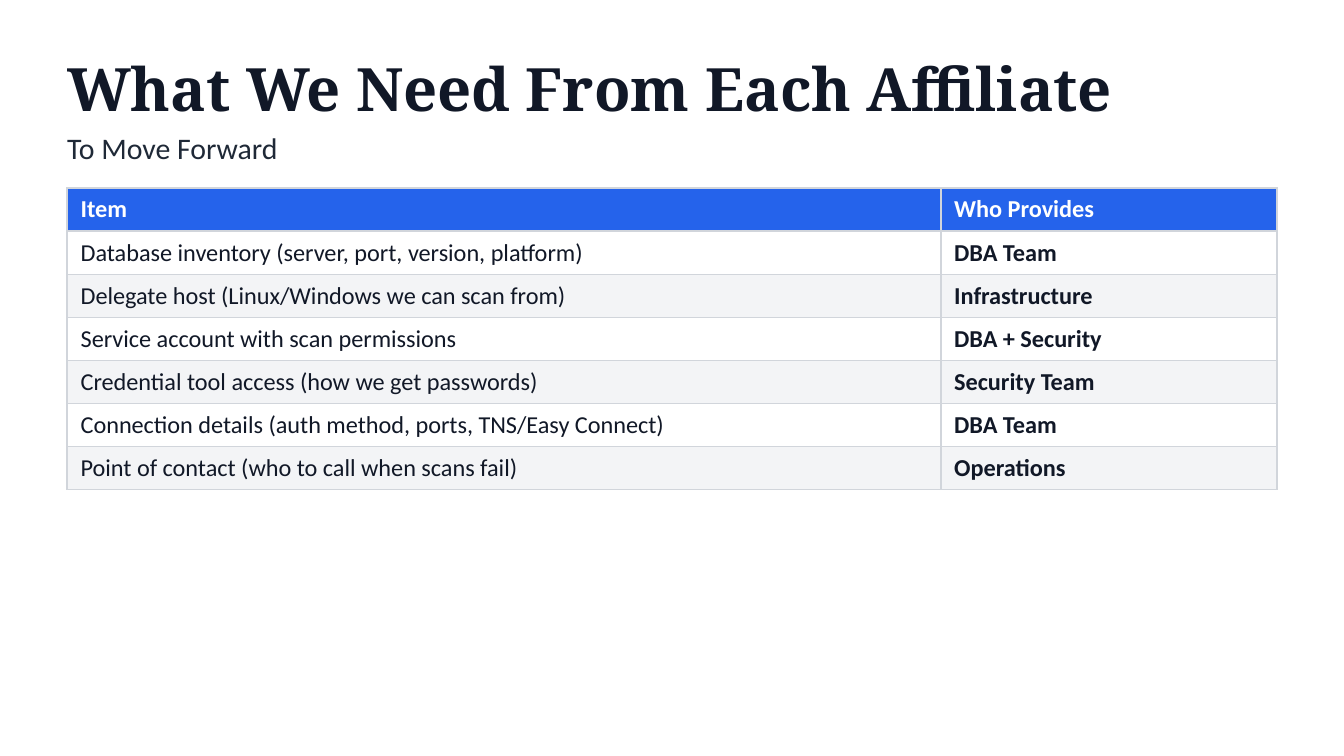
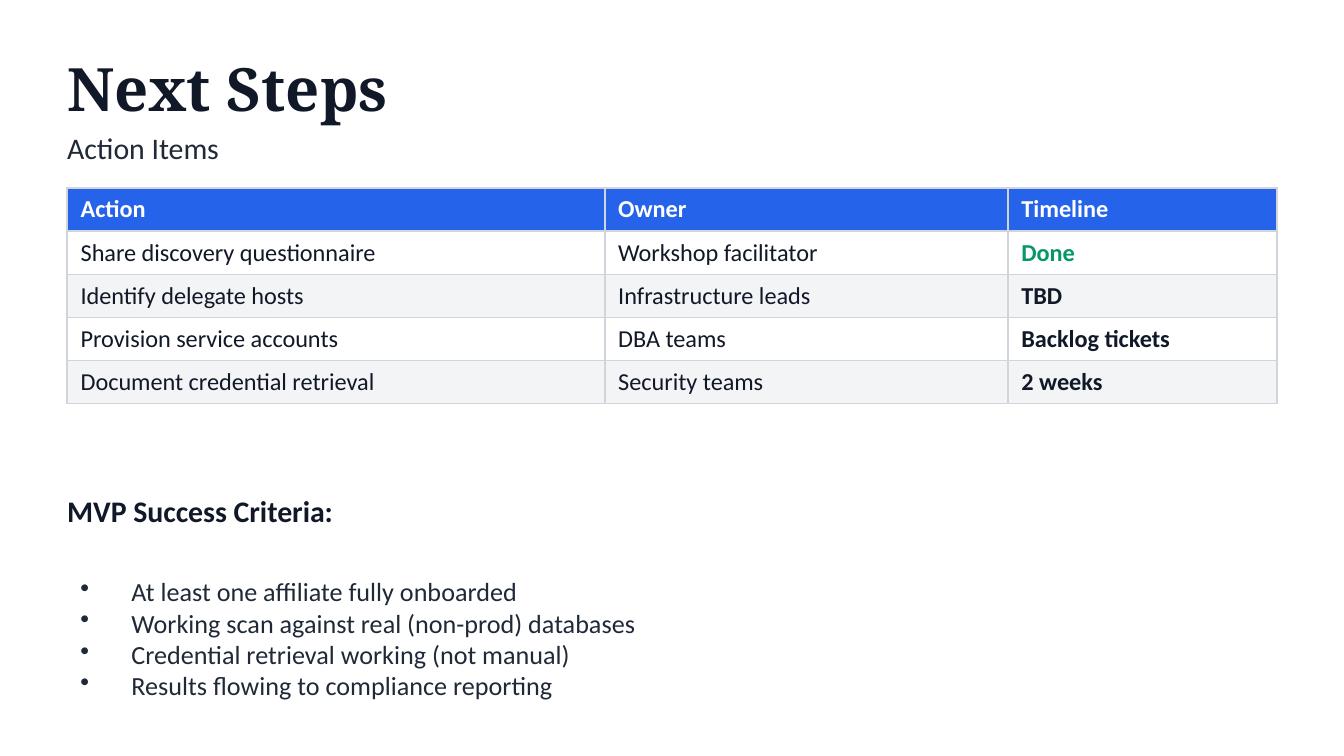
"""Build the affiliate requirements and next steps slides."""
from lxml.etree import SubElement
from pptx import Presentation
from pptx.dml.color import RGBColor
from pptx.enum.text import MSO_ANCHOR, MSO_AUTO_SIZE, PP_ALIGN
from pptx.oxml.ns import qn
from pptx.util import Inches, Pt

INK = RGBColor(0x11, 0x18, 0x27)
BODY = RGBColor(0x1F, 0x29, 0x37)
BLUE = RGBColor(0x25, 0x63, 0xEB)
GREEN = RGBColor(0x05, 0x96, 0x69)
WHITE = RGBColor(0xFF, 0xFF, 0xFF)
STRIPE = RGBColor(0xF3, 0xF4, 0xF6)
BORDER = RGBColor(0xD1, 0xD5, 0xDB)
LEFT, WIDTH, ROW_HEIGHT = 0.5, 9, 0.32

SLIDES = [
    ("What We Need From Each Affiliate", "To Move Forward", [6.5, 2.5], [
        ("Item", "Who Provides"),
        ("Database inventory (server, port, version, platform)", "DBA Team"),
        ("Delegate host (Linux/Windows we can scan from)", "Infrastructure"),
        ("Service account with scan permissions", "DBA + Security"),
        ("Credential tool access (how we get passwords)", "Security Team"),
        ("Connection details (auth method, ports, TNS/Easy Connect)", "DBA Team"),
        ("Point of contact (who to call when scans fail)", "Operations"),
    ]),
    ("Next Steps", "Action Items", [4, 3, 2], [
        ("Action", "Owner", "Timeline"),
        ("Share discovery questionnaire", "Workshop facilitator", "Done"),
        ("Identify delegate hosts", "Infrastructure leads", "TBD"),
        ("Provision service accounts", "DBA teams", "Backlog tickets"),
        ("Document credential retrieval", "Security teams", "2 weeks"),
    ]),
]
CRITERIA = [
    "At least one affiliate fully onboarded",
    "Working scan against real (non-prod) databases",
    "Credential retrieval working (not manual)",
    "Results flowing to compliance reporting",
]


def set_text(tf, text, size, color, bold=False, font="Calibri"):
    tf.text = text
    for p in tf.paragraphs:
        p.alignment = PP_ALIGN.LEFT
        for r in p.runs:
            r.font.name, r.font.size, r.font.bold = font, Pt(size), bold
            r.font.color.rgb = color


def place_text(sp, top, height, text, size, color, bold=False, font="Calibri", inset=0):
    sp.left, sp.top, sp.width, sp.height = map(Inches, (LEFT, top, WIDTH, height))
    tf = sp.text_frame
    tf.word_wrap, tf.auto_size = True, MSO_AUTO_SIZE.NONE
    tf.vertical_anchor = MSO_ANCHOR.MIDDLE
    tf.margin_left = tf.margin_right = Inches(inset)
    tf.margin_top = tf.margin_bottom = Inches(inset / 2)
    set_text(tf, text, size, color, bold, font)


prs = Presentation()
prs.slide_width, prs.slide_height = Inches(10), Inches(10 * 9 / 16)

for title, subtitle, widths, rows in SLIDES:
    s = prs.slides.add_slide(prs.slide_layouts[5])
    s.background.fill.solid()
    s.background.fill.fore_color.rgb = WHITE
    place_text(s.shapes.title, 0.3, 0.7, title, 32, INK, True, "Noto Serif")
    place_text(s.shapes.add_textbox(0, 0, 0, 0), 0.9, 0.4, subtitle, 16, BODY)

    table = s.shapes.add_table(
        len(rows), len(widths), Inches(LEFT), Inches(1.4),
        Inches(WIDTH), Inches(ROW_HEIGHT * len(rows))).table
    for column, width in zip(table.columns, widths):
        column.width = Inches(width)
    for i, row in enumerate(rows):
        table.rows[i].height = Inches(ROW_HEIGHT)
        for j, text in enumerate(row):
            cell = table.cell(i, j)
            header = i == 0
            color = WHITE if header else GREEN if text == "Done" else INK
            set_text(cell.text_frame, text, 13, color, header or j == len(row) - 1)
            tcPr = cell._tc.get_or_add_tcPr()
            for side in ("lnL", "lnR", "lnT", "lnB"):
                ln = SubElement(tcPr, qn(f"a:{side}"), w=str(Pt(1)))
                fill = SubElement(ln, qn("a:solidFill"))
                SubElement(fill, qn("a:srgbClr"), val=str(BORDER))
            cell.fill.solid()
            cell.fill.fore_color.rgb = BLUE if header else WHITE if i % 2 else STRIPE

place_text(s.shapes.add_textbox(0, 0, 0, 0), 3.6, 0.4, "MVP Success Criteria:", 16, INK, True)
sp = s.shapes.add_textbox(0, 0, 0, 0)
place_text(sp, 4, 1.5, "\n".join(CRITERIA), 14, BODY, inset=0.1)
for p in sp.text_frame.paragraphs:
    pPr = p._p.get_or_add_pPr()
    pPr.set("marL", str(Inches(0.38)))
    pPr.set("indent", str(-Inches(0.38)))
    SubElement(pPr, qn("a:buSzPct"), val="100000")
    SubElement(pPr, qn("a:buChar"), char="•")

prs.save("out.pptx")
